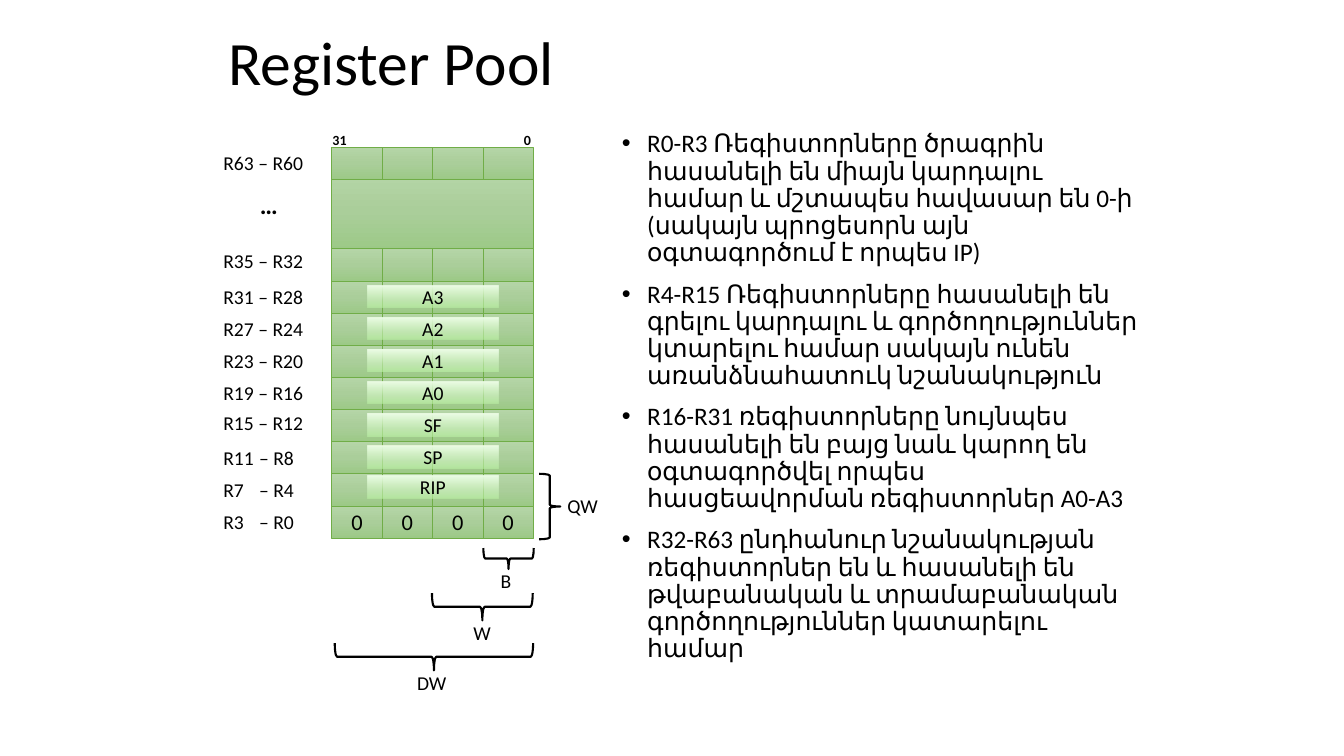
import pptx
import pptx.util
import pptx.dml.color
import pptx.enum.shapes
import pptx.enum.text
import pptx.oxml
import pptx.oxml.ns

Cm = pptx.util.Cm
Pt = pptx.util.Pt
KIND = pptx.enum.shapes.MSO_SHAPE
ALIGN = pptx.enum.text.PP_ALIGN
ANCHOR = pptx.enum.text.MSO_ANCHOR
qn = pptx.oxml.ns.qn
SPACE = 'xmlns:a="http://schemas.openxmlformats.org/drawingml/2006/main"'

TITLE = "Register Pool"
NOTES = [
    "R0-R3 Ռեգիստորները ծրագրին հասանելի են միայն կարդալու համար և մշտապես հավասար են 0-ի (սակայն պրոցեսորն այն օգտագործում է որպես IP)",
    "R4-R15 Ռեգիստորները հասանելի են գրելու կարդալու և գործողություններ կտարելու համար սակայն ունեն առանձնահատուկ նշանակություն",
    "R16-R31 ռեգիստորները նույնպես հասանելի են բայց նաև կարող են օգտագործվել որպես հասցեավորման ռեգիստորներ A0-A3",
    "R32-R63 ընդհանուր նշանակության ռեգիստորներ են և հասանելի են թվաբանական և տրամաբանական գործողություններ կատարելու համար",
]
TOP_ROW = ("R63 – R60", "", "", 0)
ROWS = [
    ("R35 – R32", "", "", -0.08),
    ("R31 – R28", "A3", "", 0),
    ("R27 – R24", "A2", "", 0),
    ("R23 – R20", "A1", "", 0),
    ("R19 – R16", "A0", "", 0),
    ("R15 – R12", "SF", "", -0.06),
    ("R11\t– R8", "SP", "", 0),
    ("R7\t– R4", "RIP", "", 0),
    ("R3\t– R0", "", "0", 0),
]
BRACES = [
    (13.59, 11.94, 0.53, 1.65, 0),
    (12.55, 13.44, 0.53, 1.27, 90),
    (11.81, 14.02, 0.69, 2.54, 90),
    (10.59, 14.05, 0.69, 5.0, 90),
]
MARKS = [
    ("QW", 14.05, 12.32, 1.3, 0.86, 14, False),
    ("B", 12.37, 14.2, 0.79, 0.86, 14, False),
    ("W", 11.68, 15.52, 0.97, 0.86, 14, False),
    ("DW", 10.26, 16.79, 1.27, 0.86, 14, False),
    ("31", 8.13, 3.18, 0.89, 0.69, 10, True),
    ("0", 12.95, 3.18, 0.69, 0.69, 10, True),
    ("…", 6.3, 4.65, 0.97, 1.02, 18, True),
]
GREEN = [(0, "B5D5A7", 100), (50, "AACE9A", 100), (100, "9CC987", 100)]
PALE = [(0, "BEF5A7", 60), (35, "D1F7C2", 60), (100, "EDFDE7", 100)]
LEFT, TOP, LOW = 8.36, 3.71, 6.27
WIDE, HIGH, COLS = 1.27, 0.81, 4

deck = pptx.Presentation()
deck.slide_width, deck.slide_height = Cm(33.87), Cm(19.05)
slide = deck.slides.add_slide(deck.slide_layouts[6])
shapes = slide.shapes


def tint(code):
    return pptx.dml.color.RGBColor.from_string(code)


def style(frame, size, bold=False):
    for para in frame.paragraphs:
        for run in para.runs:
            font = run.font
            font.name, font.size, font.bold = "Calibri", Pt(size), bold
            font.color.rgb = tint("000000")


def write(text, x, y, w, h, size, bold=False, wrap=True):
    frame = shapes.add_textbox(Cm(x), Cm(y), Cm(w), Cm(h)).text_frame
    frame.word_wrap = wrap
    frame.text = text
    style(frame, size, bold)
    return frame


def place(kind, x, y, w, h):
    shape = shapes.add_shape(kind, Cm(x), Cm(y), Cm(w), Cm(h))
    shape.shadow.inherit = False
    shape.fill.background()
    return shape


def block(x, y, w, h, stops, angle, edge="", text="", size=14):
    shape = place(KIND.ROUNDED_RECTANGLE, x, y, w, h)
    shape.adjustments[0] = 0
    marks = "".join(
        f'<a:gs pos="{at * 1000}"><a:srgbClr val="{code}">'
        f'<a:alpha val="{part * 1000}"/></a:srgbClr></a:gs>'
        for at, code, part in stops)
    blend = pptx.oxml.parse_xml(
        f'<a:gradFill {SPACE} rotWithShape="1"><a:gsLst>{marks}</a:gsLst>'
        f'<a:lin ang="{angle * 60000}" scaled="0"/></a:gradFill>')
    props = shape.element.spPr
    props.replace(props.find(qn("a:noFill")), blend)
    if edge:
        shape.line.color.rgb = tint(edge)
        shape.line.width = Pt(0.5)
    else:
        shape.line.fill.background()
    if text:
        frame = shape.text_frame
        frame.text = text
        frame.vertical_anchor = ANCHOR.MIDDLE
        frame.paragraphs[0].alignment = ALIGN.CENTER
        style(frame, size)


def draw_row(y, row):
    label, tag, digit, nudge = row
    for col in range(COLS):
        block(LEFT + col * WIDE, y, WIDE, HIGH, GREEN, 90, "70AD47", digit, 16)
    if tag:
        drop = 0.05 if tag == "RIP" else 0.11
        block(9.26, y + drop, 3.3, 0.56, PALE, 270, text=tag)
    frame = write(label, 5.38, y - 0.03 + nudge, 2.92, 0.86, 14)
    if "\t" in label:
        props = frame.paragraphs[0]._p.get_or_add_pPr()
        props.append(pptx.oxml.parse_xml(
            f'<a:tabLst {SPACE}><a:tab pos="{Cm(0.9)}" algn="l"/></a:tabLst>'))


head = write(TITLE, 5.51, 0.18, 24.13, 2.97, 44)
head.vertical_anchor = ANCHOR.MIDDLE
head.paragraphs[0].line_spacing = 0.9

body = write("\n".join(NOTES), 15.42, 3.18, 13.56, 14.1, 18)
for i, para in enumerate(body.paragraphs):
    para.line_spacing = 0.9
    if i:
        para.space_before = Pt(10)
    props = para._p.get_or_add_pPr()
    props.set("marL", str(Cm(0.64)))
    props.set("indent", str(-Cm(0.64)))
    props.append(pptx.oxml.parse_xml(f'<a:buFont {SPACE} typeface="Arial"/>'))
    props.append(pptx.oxml.parse_xml(f'<a:buChar {SPACE} char="•"/>'))

for x, y, w, h, turn in BRACES:
    brace = place(KIND.RIGHT_BRACE, x, y, w, h)
    brace.rotation = turn
    brace.line.color.rgb = tint("000000")
    brace.line.width = Pt(1.5)

block(LEFT, 4.34, COLS * WIDE, 1.96, GREEN, 90, "70AD47")
draw_row(TOP, TOP_ROW)
for i, row in enumerate(ROWS):
    draw_row(LOW + i * HIGH, row)

for mark in MARKS:
    write(*mark, wrap=False)

deck.save("out.pptx")
